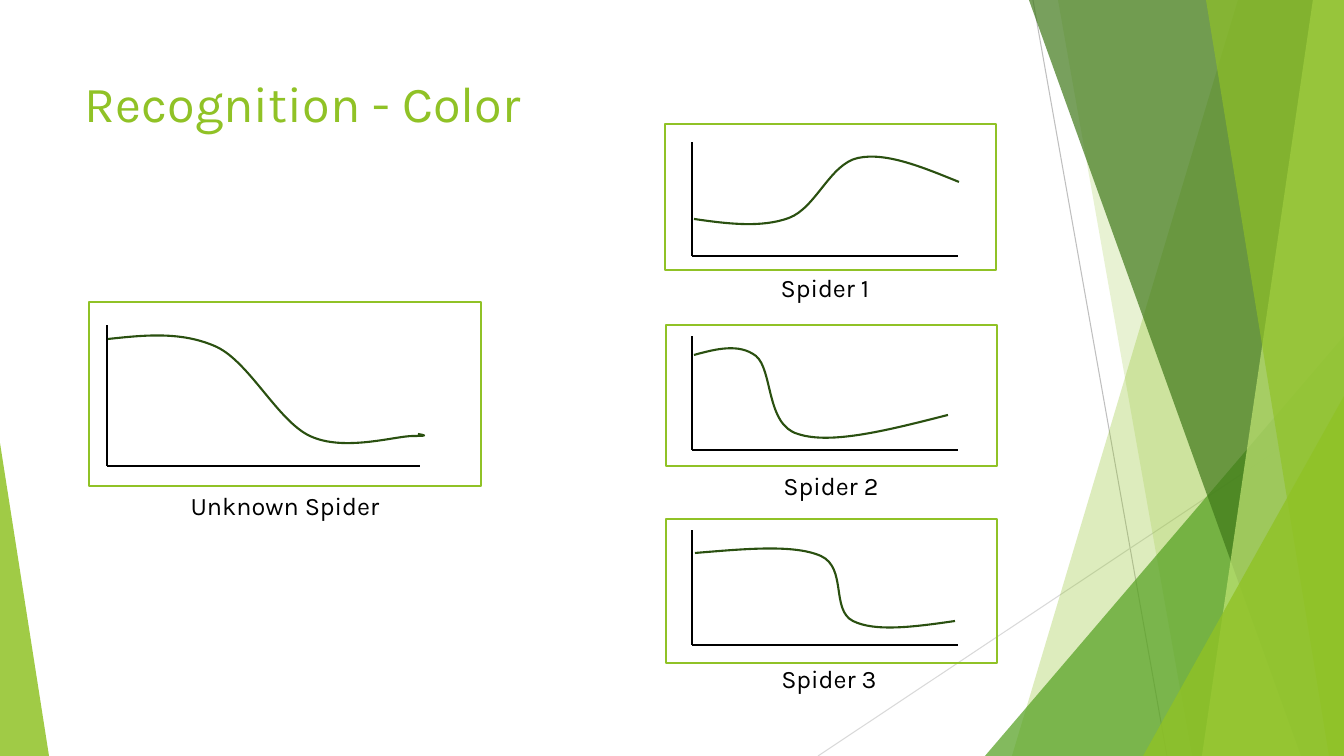
from lxml import etree
from pptx import Presentation
from pptx import util as u
from pptx.dml.color import RGBColor
from pptx.enum import shapes, text
from pptx.oxml.ns import qn

GREEN = RGBColor(0x90, 0xC2, 0x26)
MID_GREEN = RGBColor(0x54, 0xA0, 0x21)
DARK_GREEN = RGBColor(0x3F, 0x78, 0x19)
PALE_GREEN = RGBColor(0xC0, 0xE4, 0x74)
CURVE_GREEN = RGBColor(0x2A, 0x50, 0x10)
BLACK = RGBColor(0, 0, 0)
GRAY = RGBColor(0xBF, 0xBF, 0xBF)
LIGHT_GRAY = RGBColor(0xD9, 0xD9, 0xD9)

WIDTH, HEIGHT = 1344, 756
EMU_PER_PX = 12192000 / WIDTH


def px(n):
    return u.Emu(round(n * EMU_PER_PX))


class Deck:
    font = "Karla"

    def __init__(self):
        self.prs = Presentation()
        self.prs.slide_width, self.prs.slide_height = px(WIDTH), px(HEIGHT)
        self.s = self.prs.slides.add_slide(self.prs.slide_layouts[6])

    def style(self, sp, fill=None, alpha=100, line=None, width=1):
        sp.shadow.inherit = False
        if fill is None:
            sp.fill.background()
        else:
            sp.fill.solid()
            sp.fill.fore_color.rgb = fill
            clr = sp._element.spPr.find(qn("a:solidFill"))[0]
            etree.SubElement(clr, qn("a:alpha"), val=str(alpha * 1000))
        if line is None:
            sp.line.fill.background()
        else:
            sp.line.color.rgb = line
            sp.line.width = u.Pt(width)

    def shape(self, kind, x, y, w, h, **style):
        sp = self.s.shapes.add_shape(kind, px(x), px(y), px(w), px(h))
        self.style(sp, **style)
        return sp

    def triangle(self, x, y, w, h, apex, **style):
        sp = self.shape(shapes.MSO_SHAPE.ISOSCELES_TRIANGLE, x, y, w, h, **style)
        sp.adjustments[0] = apex

    def freeform(self, points, close=False, **style):
        points = [(px(x), px(y)) for x, y in points]
        builder = self.s.shapes.build_freeform(*points[0])
        builder.add_line_segments(points[1:], close=close)
        sp = builder.convert_to_shape()
        self.style(sp, **style)
        return sp

    def curve(self, left, top, right, bottom, start, segments, **style):
        """A chain of cubic curves inside the given bounds."""
        sp = self.freeform([(left, top), (right, bottom)], **style)
        path = next(sp._element.iter(qn("a:path")))
        for step in list(path):
            path.remove(step)
        for tag, points in [("a:moveTo", [start])] + [
                ("a:cubicBezTo", segment) for segment in segments]:
            step = etree.SubElement(path, qn(tag))
            for x, y in points:
                etree.SubElement(step, qn("a:pt"),
                                 x=str(px(x - left)), y=str(px(y - top)))

    def line(self, x1, y1, x2, y2, color, width):
        c = self.s.shapes.add_connector(
            shapes.MSO_CONNECTOR.STRAIGHT, px(x1), px(y1), px(x2), px(y2))
        c.line.color.rgb = color
        c.line.width = u.Pt(width)
        etree.SubElement(c._element.spPr, qn("a:effectLst"))

    def text(self, x, y, w, h, words, size, color, align=text.PP_ALIGN.LEFT):
        tf = self.s.shapes.add_textbox(px(x), px(y), px(w), px(h)).text_frame
        tf.word_wrap = True
        tf.text = words
        p = tf.paragraphs[0]
        p.alignment = align
        r = p.runs[0]
        r.font.name, r.font.size = self.font, u.Pt(size)
        r.font.color.rgb = color

    def graph(self, box, axes, label, label_at, bounds, start, segments):
        """A framed sketch graph with its caption."""
        self.shape(shapes.MSO_SHAPE.RECTANGLE, *box, line=GREEN, width=2)
        left, top, right, bottom = axes
        self.line(left, bottom, left, top, BLACK, 1)
        self.line(left, bottom, right, bottom, BLACK, 1)
        self.text(*label_at, 334, 40, label, 18, BLACK, text.PP_ALIGN.CENTER)
        self.curve(*bounds, start, segments, line=CURVE_GREEN, width=1.5)


# One row per graph: frame, axes, caption, caption corner, curve bounds, curve
GRAPHS = [
    ((89, 302, 392, 184), (107, 325, 420, 466), "Unknown Spider", (118, 485),
     (108, 336, 425, 444),
     (108, 339), [((145, 335), (182, 331), (217, 347)),
                  ((250, 363), (278, 421), (310, 436)),
                  ((344, 452), (395, 436), (413, 436)),
                  ((430, 436), (424, 435), (418, 434))]),
    ((665, 124, 331, 146), (692, 142, 958, 256), "Spider 1", (658, 267),
     (694, 157, 959, 224),
     (694, 219), [((728, 224), (762, 228), (789, 218)),
                  ((816, 208), (830, 164), (858, 158)),
                  ((886, 152), (922, 167), (959, 182))]),
    ((666, 325, 331, 141), (692, 336, 958, 450), "Spider 2", (664, 465),
     (694, 348, 948, 438),
     (694, 355), [((716, 349), (739, 343), (756, 356)),
                  ((773, 370), (766, 425), (798, 434)),
                  ((831, 445), (889, 430), (948, 415))]),
    ((666, 519, 331, 144), (692, 530, 958, 645), "Spider 3", (662, 658),
     (695, 549, 955, 628),
     (695, 553), [((744, 549), (794, 544), (821, 556)),
                  ((847, 568), (831, 610), (853, 621)),
                  ((875, 632), (914, 627), (955, 621))]),
]


def main():
    deck = Deck()

    # Background facets, each band running to the right edge
    def band(top_x, bottom_x, fill, alpha):
        deck.freeform([(top_x, 0), (WIDTH, 0), (WIDTH, HEIGHT), (bottom_x, HEIGHT)],
                      close=True, fill=fill, alpha=alpha)

    deck.line(1033, 0, 1167, HEIGHT, GRAY, 0.75)
    deck.line(WIDTH, 406, 818, HEIGHT, LIGHT_GRAY, 0.75)
    band(1238, 1012, GREEN, 30)
    band(1058, 1192, GREEN, 20)
    deck.triangle(985, 336, 359, 420, 1, fill=MID_GREEN, alpha=72)
    band(1029, 1301, DARK_GREEN, 70)
    band(1313, 1202, PALE_GREEN, 70)
    band(1206, 1329, GREEN, 65)
    deck.triangle(1143, 396, 201, 360, 1, fill=GREEN, alpha=80)
    deck.triangle(0, 443, 49, 313, 0, fill=GREEN, alpha=85)

    # Title
    deck.text(75, 67, 948, 145, "Recognition - Color", 36, GREEN)

    # Graphs
    for row in GRAPHS:
        deck.graph(*row)

    deck.prs.save("out.pptx")


if __name__ == "__main__":
    main()
